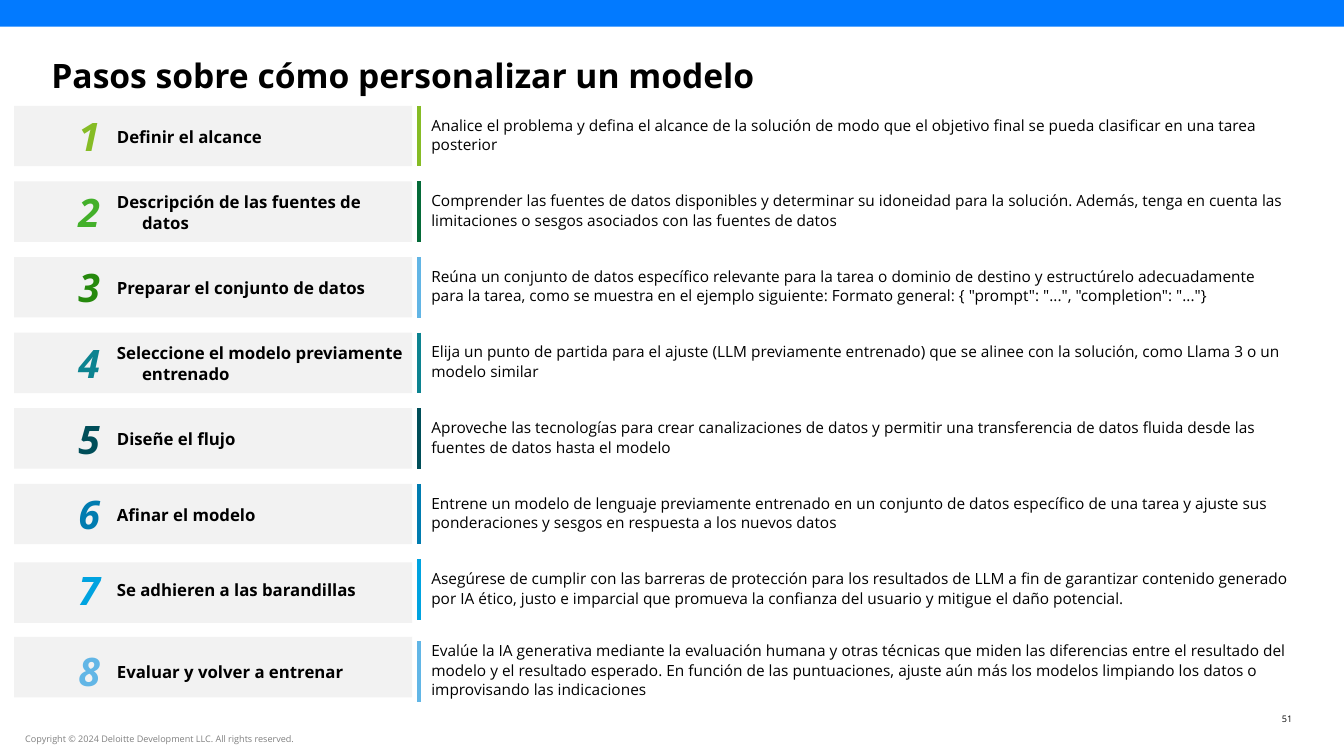
import pptx
import pptx.dml.color
import pptx.enum.shapes
import pptx.enum.text
import pptx.util
from lxml import etree
from pptx.oxml.ns import qn

Pt = pptx.util.Pt
ALIGN = pptx.enum.text.PP_ALIGN
ANCHOR = pptx.enum.text.MSO_ANCHOR
FONT = "Open Sans"
BLACK = "000000"
FIRST_TOP = 75.6
STEP_PITCH = 54
STEP_HEIGHT = 43.2
WIDE_LABEL = 211.7
NARROW_LABEL = 203

# number colour, line colour, card shift, content shift, label width, label, description
STEPS = [
    ("86BC25", "86BC25", 0, 0, WIDE_LABEL, "Definir el alcance",
     "Analice el problema y defina el alcance de la solución de modo que el objetivo final "
     "se pueda clasificar en una tarea posterior"),
    ("43B02A", "046A38", 0, 0, NARROW_LABEL, "Descripción de las fuentes de datos",
     "Comprender las fuentes de datos disponibles y determinar su idoneidad para la solución. "
     "Además, tenga en cuenta las limitaciones o sesgos asociados con las fuentes de datos"),
    ("26890D", "62B5E5", 0, 0, NARROW_LABEL, "Preparar el conjunto de datos",
     "Reúna un conjunto de datos específico relevante para la tarea o dominio de destino y "
     "estructúrelo adecuadamente para la tarea, como se muestra en el ejemplo siguiente: "
     'Formato general: { "prompt": "...", "completion": "..."}'),
    ("0C8390", "0C8390", 0, 0, WIDE_LABEL, "Seleccione el modelo previamente entrenado",
     "Elija un punto de partida para el ajuste (LLM previamente entrenado) que se alinee con "
     "la solución, como Llama 3 o un modelo similar"),
    ("004E59", "004E59", 0, 0, WIDE_LABEL, "Diseñe el flujo",
     "Aproveche las tecnologías para crear canalizaciones de datos y permitir una "
     "transferencia de datos fluida desde las fuentes de datos hasta el modelo"),
    ("007CB0", "007CB0", 0, 0, WIDE_LABEL, "Afinar el modelo",
     "Entrene un modelo de lenguaje previamente entrenado en un conjunto de datos específico "
     "de una tarea y ajuste sus ponderaciones y sesgos en respuesta a los nuevos datos"),
    ("00A3E0", "00A3E0", 2.2, 0, WIDE_LABEL, "Se adhieren a las barandillas",
     "Asegúrese de cumplir con las barreras de protección para los resultados de LLM a fin de "
     "garantizar contenido generado por IA ético, justo e imparcial que promueva la confianza "
     "del usuario y mitigue el daño potencial."),
    ("62B6E6", "62B6E6", 1.4, 4.3, WIDE_LABEL, "Evaluar y volver a entrenar",
     "Evalúe la IA generativa mediante la evaluación humana y otras técnicas que miden las "
     "diferencias entre el resultado del modelo y el resultado esperado. En función de las "
     "puntuaciones, ajuste aún más los modelos limpiando los datos o improvisando las "
     "indicaciones"),
]


def colour(value):
    return pptx.dml.color.RGBColor.from_string(value)


def add_block(page, left, top, width, height, fill):
    block = page.shapes.add_shape(pptx.enum.shapes.MSO_SHAPE.RECTANGLE,
                                  Pt(left), Pt(top), Pt(width), Pt(height))
    block.shadow.inherit = False
    block.fill.solid()
    block.fill.fore_color.rgb = colour(fill)
    block.line.fill.background()


def add_divider(page, left, top, height, line_colour):
    divider = page.shapes.add_connector(pptx.enum.shapes.MSO_CONNECTOR.STRAIGHT,
                                        Pt(left), Pt(top), Pt(left), Pt(top + height))
    divider.line.color.rgb = colour(line_colour)
    divider.line.width = Pt(3)
    properties = divider.element.find(qn("p:spPr"))
    etree.SubElement(properties, qn("a:effectLst"))


def add_text(page, left, top, width, height, text, size, text_colour=BLACK, bold=False,
             italic=False, align=ALIGN.LEFT, anchor=ANCHOR.TOP, margins=(0, 0)):
    box = page.shapes.add_textbox(Pt(left), Pt(top), Pt(width), Pt(height))
    frame = box.text_frame
    frame.word_wrap = True
    frame.vertical_anchor = anchor
    frame.margin_left = frame.margin_right = Pt(margins[0])
    frame.margin_top = frame.margin_bottom = Pt(margins[1])
    para = frame.paragraphs[0]
    para.alignment = align
    span = para.add_run()
    span.text = text
    span.font.name = FONT
    span.font.size = Pt(size)
    span.font.bold = bold
    span.font.italic = italic
    span.font.color.rgb = colour(text_colour)
    return frame


def add_label(page, top, width, text):
    frame = add_text(page, 83.5, top, width, 36, text, 12, bold=True, anchor=ANCHOR.MIDDLE)
    para = frame.paragraphs[0]
    para.line_spacing = 1.06
    properties = para._p.get_or_add_pPr()
    properties.set("marL", str(Pt(18)))
    properties.set("indent", str(Pt(-18)))


def add_description(page, middle, height, text):
    frame = add_text(page, 301, middle - height / 2, 629.3, height, text, 11,
                     margins=(7.2, 3.6))
    frame.auto_size = pptx.enum.text.MSO_AUTO_SIZE.SHAPE_TO_FIT_TEXT
    frame.paragraphs[0].line_spacing = 1.06


def add_step(page, index, step):
    number_colour, line_colour, card_shift, shift, label_width, label, description = step
    row_top = FIRST_TOP + index * STEP_PITCH
    top = row_top + shift
    add_block(page, 10, row_top + card_shift, 284.4, STEP_HEIGHT, "F2F2F2")
    add_divider(page, 299.5, top, STEP_HEIGHT, line_colour)
    add_text(page, 35.3, top + 3.6, 56.9, 36, str(index + 1), 28, number_colour, bold=True,
             italic=True, align=ALIGN.CENTER, anchor=ANCHOR.MIDDLE)
    add_label(page, top + 3.6, label_width, label)
    add_description(page, top + 20.2, 49 if len(description) > 240 else 34.8, description)


def main():
    deck = pptx.Presentation()
    deck.slide_width = Pt(960)
    deck.slide_height = Pt(540)
    page = deck.slides.add_slide(deck.slide_layouts[6])
    add_text(page, 898.6, 509.8, 24.5, 8, "51", 6.5, align=ALIGN.RIGHT)
    add_text(page, 18, 524.2, 422, 8,
             "Copyright © 2024 Deloitte Development LLC. All rights reserved.", 6.5, "808080")
    add_text(page, 36.7, 39, 886.3, 26.6, "Pasos sobre cómo personalizar un modelo", 24,
             bold=True)
    for index, step in enumerate(STEPS):
        add_step(page, index, step)
    add_block(page, 0, 0, 960, 19, "027AFF")
    deck.save("out.pptx")


if __name__ == "__main__":
    main()
